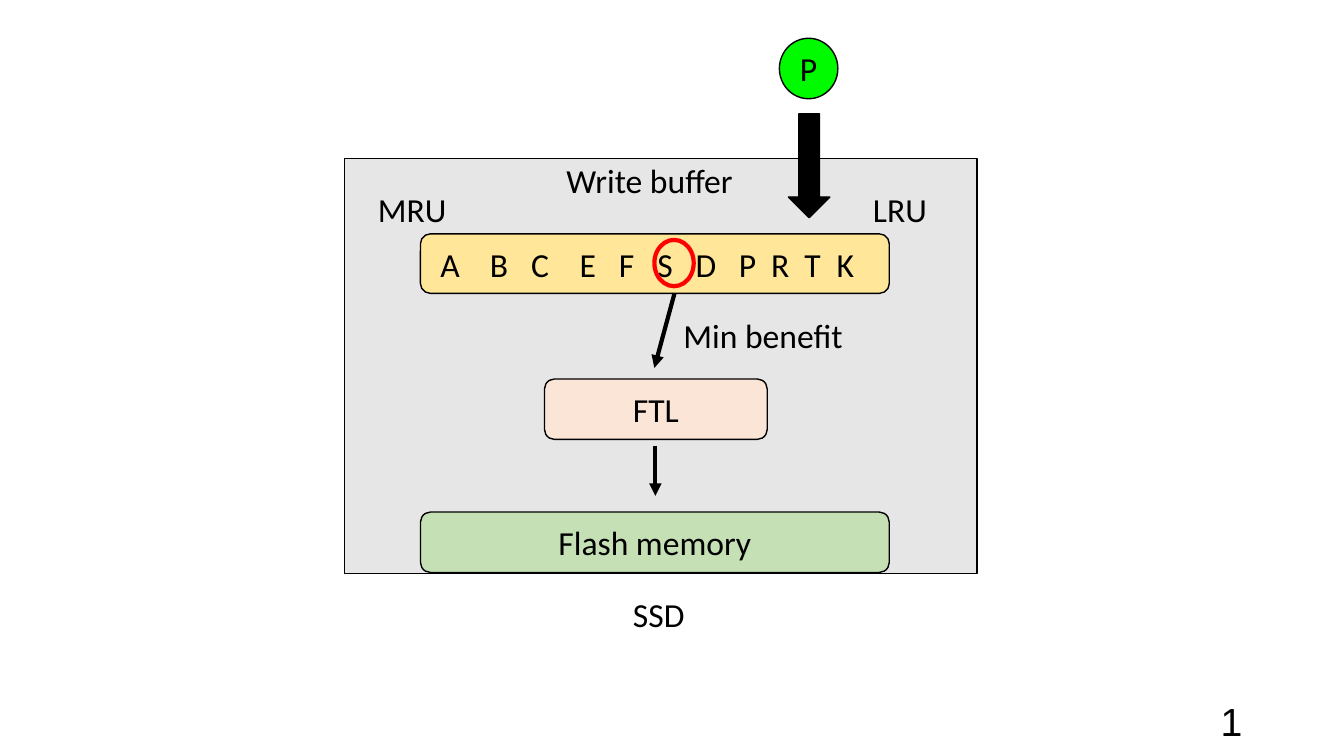
from dataclasses import dataclass
from typing import Optional

from lxml import etree
from pptx import Presentation
from pptx.dml.color import RGBColor
from pptx.enum.shapes import MSO_CONNECTOR, MSO_SHAPE
from pptx.enum.text import MSO_ANCHOR, PP_ALIGN
from pptx.oxml.ns import qn
from pptx.util import Inches, Pt

RECT, ROUND = MSO_SHAPE.RECTANGLE, MSO_SHAPE.ROUNDED_RECTANGLE
OVAL, PAGE = MSO_SHAPE.OVAL, MSO_SHAPE.FLOWCHART_CONNECTOR
DOWN, STRAIGHT = MSO_SHAPE.DOWN_ARROW, MSO_CONNECTOR.STRAIGHT
TOP, MIDDLE = MSO_ANCHOR.TOP, MSO_ANCHOR.MIDDLE
LEFT, CENTER, RIGHT = PP_ALIGN.LEFT, PP_ALIGN.CENTER, PP_ALIGN.RIGHT

BLACK = RGBColor(0x00, 0x00, 0x00)
RED = RGBColor(0xFF, 0x00, 0x00)
GRAY = RGBColor(0xE7, 0xE6, 0xE6)
YELLOW = RGBColor(0xFF, 0xE6, 0x99)
GREEN = RGBColor(0xC5, 0xE0, 0xB4)
PEACH = RGBColor(0xFB, 0xE5, 0xD6)
LIME = RGBColor(0x00, 0xFA, 0x00)


@dataclass
class Box:
    kind: int
    left: float
    top: float
    width: float
    height: float
    fill: Optional[RGBColor]
    text: str = ""
    line: RGBColor = BLACK
    weight: float = 1


@dataclass
class Label:
    text: str
    left: float
    top: float
    width: float
    height: float = 0.5
    font: str = "Calibri"
    size: int = 24
    align: int = LEFT
    anchor: int = TOP


@dataclass
class Arrow:
    x1: float
    y1: float
    x2: float
    y2: float


SSD = Box(RECT, 3.42, 1.57, 6.27, 4.12, GRAY)
BUFFER = Box(ROUND, 4.17, 2.32, 4.65, 0.59, YELLOW, "A\tB\tC\tE\tF\tS\tD\tP\tR\tT\tK")
BOXES = [
    Box(ROUND, 4.17, 5.08, 4.65, 0.6, GREEN, "Flash memory"),
    Box(ROUND, 5.4, 3.76, 2.21, 0.6, PEACH, "FTL"),
    Box(OVAL, 6.49, 2.38, 0.39, 0.46, None, line=RED, weight=3),
    Box(PAGE, 7.73, 0.38, 0.58, 0.6, LIME, "P"),
    Box(DOWN, 7.82, 1.13, 0.41, 1.03, BLACK),
]
LABELS = [
    Label("MRU", 3.65, 1.83, 0.88),
    Label("LRU", 8.56, 1.83, 0.88),
    Label("SSD", 6.18, 5.84, 0.87),
    Label("Write buffer", 5.52, 1.54, 1.96),
    Label("Min benefit", 6.68, 3.08, 1.88),
    Label("1", 9.42, 6.95, 3, 0.4, "Arial", 28, RIGHT, MIDDLE),
]
ARROWS = [Arrow(6.5, 4.42, 6.5, 4.92), Arrow(6.69, 2.91, 6.49, 3.65)]
# Start of each buffered page after the first, from the start of the text
PAGE_STOPS = [0.49, 0.9, 1.38, 1.77, 2.15, 2.53, 2.96, 3.28, 3.61, 3.93]


def write(sp, text: str, font: str, size: int, align: int, anchor: int) -> None:
    tf = sp.text_frame
    tf.word_wrap = True
    tf.vertical_anchor = anchor
    p = tf.paragraphs[0]
    p.alignment = align
    r = p.add_run()
    r.text = text
    for name, value in {"name": font, "size": Pt(size)}.items():
        setattr(r.font, name, value)
    r.font.color.rgb = BLACK


def add_box(s, box: Box):
    sp = s.shapes.add_shape(box.kind, Inches(box.left), Inches(box.top),
                            Inches(box.width), Inches(box.height))
    sp.shadow.inherit = False
    if box.fill is None:
        sp.fill.background()
    else:
        sp.fill.solid()
        sp.fill.fore_color.rgb = box.fill
    sp.line.color.rgb = box.line
    sp.line.width = Pt(box.weight)
    if box.text:
        write(sp, box.text, "Calibri", 24, CENTER, MIDDLE)
    return sp


def set_tab_stops(sp, stops: list[float]) -> None:
    tf = sp.text_frame
    tf.margin_left = Inches(0.17)
    p = tf.paragraphs[0]
    p.alignment = LEFT
    tabs = etree.SubElement(p._p.get_or_add_pPr(), qn("a:tabLst"))
    for stop in stops:
        etree.SubElement(tabs, qn("a:tab"), pos=str(Inches(stop)), algn="l")


def add_label(s, label: Label) -> None:
    sp = s.shapes.add_textbox(Inches(label.left), Inches(label.top),
                              Inches(label.width), Inches(label.height))
    write(sp, label.text, label.font, label.size, label.align, label.anchor)


def add_arrow(s, arrow: Arrow) -> None:
    cx = s.shapes.add_connector(STRAIGHT, Inches(arrow.x1), Inches(arrow.y1),
                                Inches(arrow.x2), Inches(arrow.y2))
    cx.line.color.rgb = BLACK
    cx.line.width = Pt(3)
    etree.SubElement(cx.line._get_or_add_ln(), qn("a:tailEnd"), type="triangle")
    etree.SubElement(cx._element.spPr, qn("a:effectLst"))


def main() -> None:
    prs = Presentation()
    prs.slide_width, prs.slide_height = Inches(13.33), Inches(7.5)
    s = prs.slides.add_slide(prs.slide_layouts[6])

    # SSD with its write buffer
    add_box(s, SSD)
    set_tab_stops(add_box(s, BUFFER), PAGE_STOPS)

    # Stages, victim ring and incoming page
    for box in BOXES:
        add_box(s, box)

    # Eviction flow and captions
    for arrow in ARROWS:
        add_arrow(s, arrow)
    for label in LABELS:
        add_label(s, label)

    prs.save("out.pptx")


if __name__ == "__main__":
    main()
